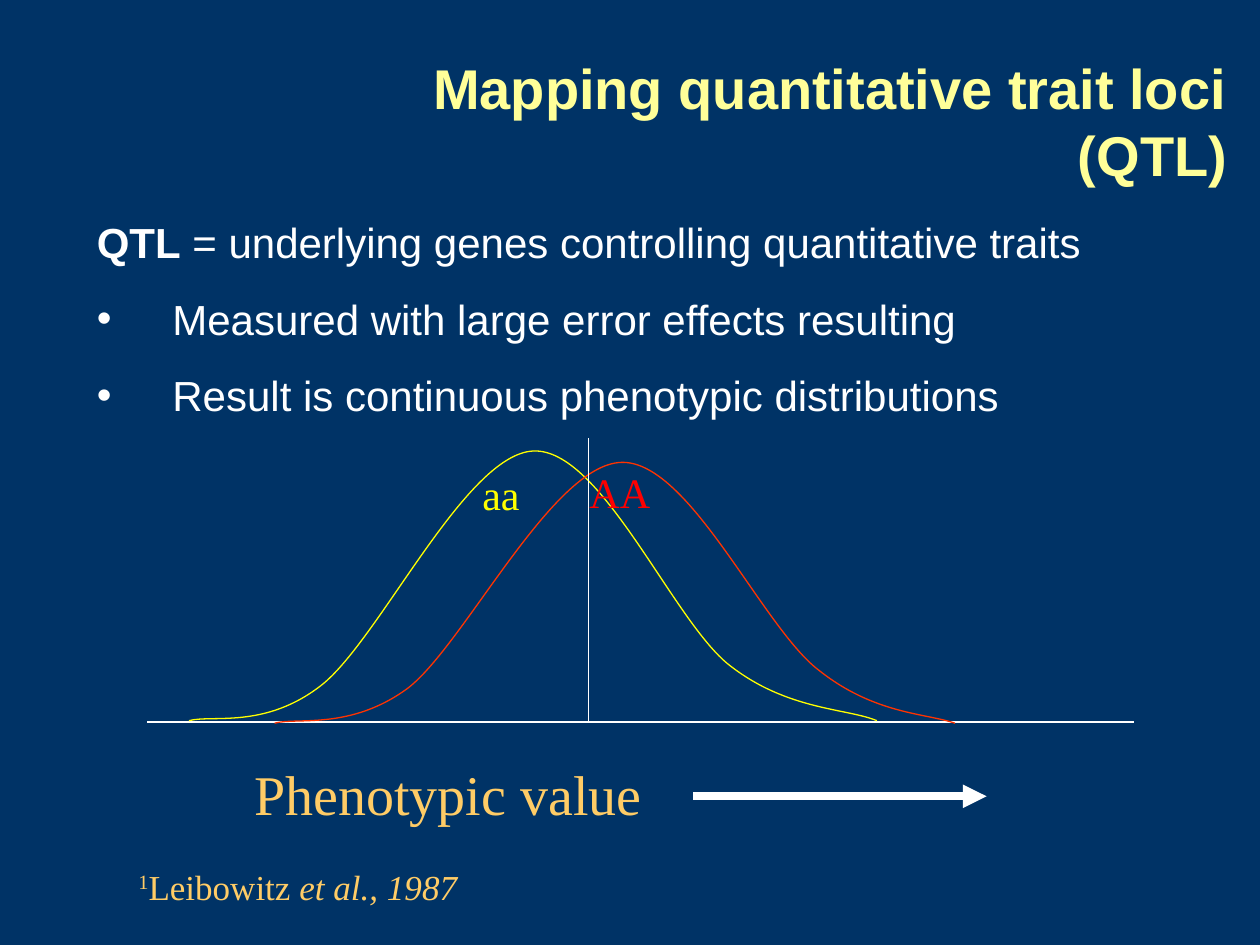
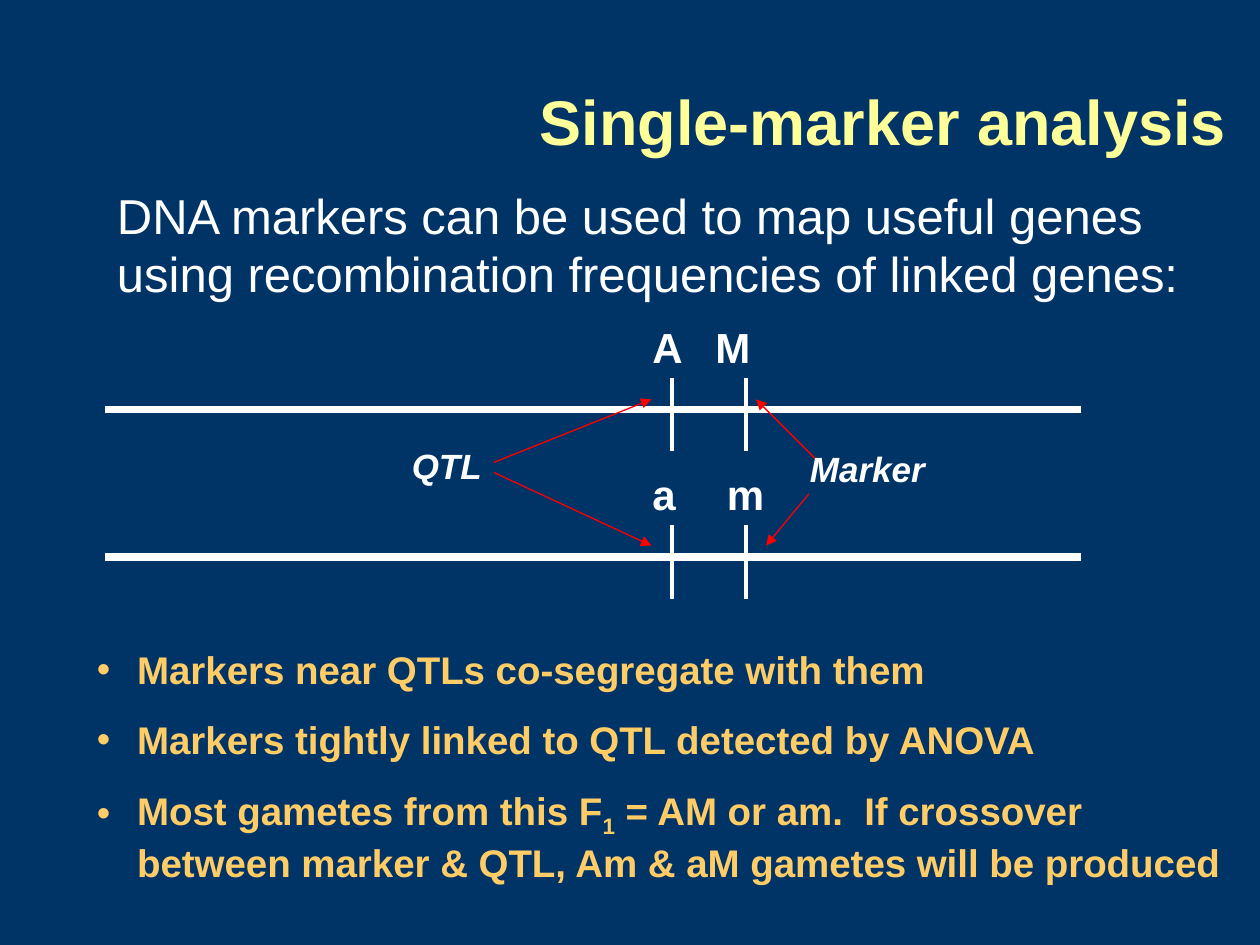
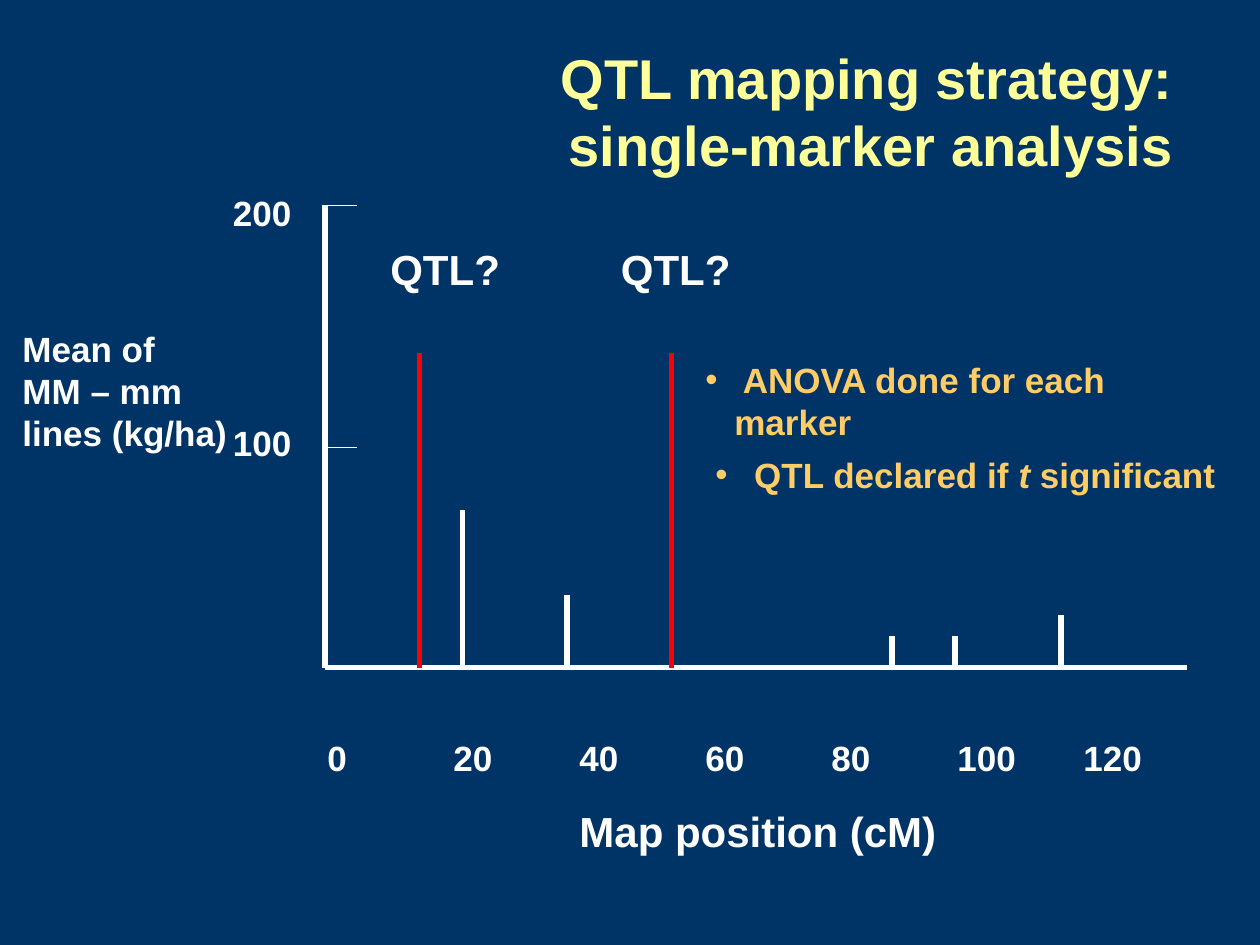
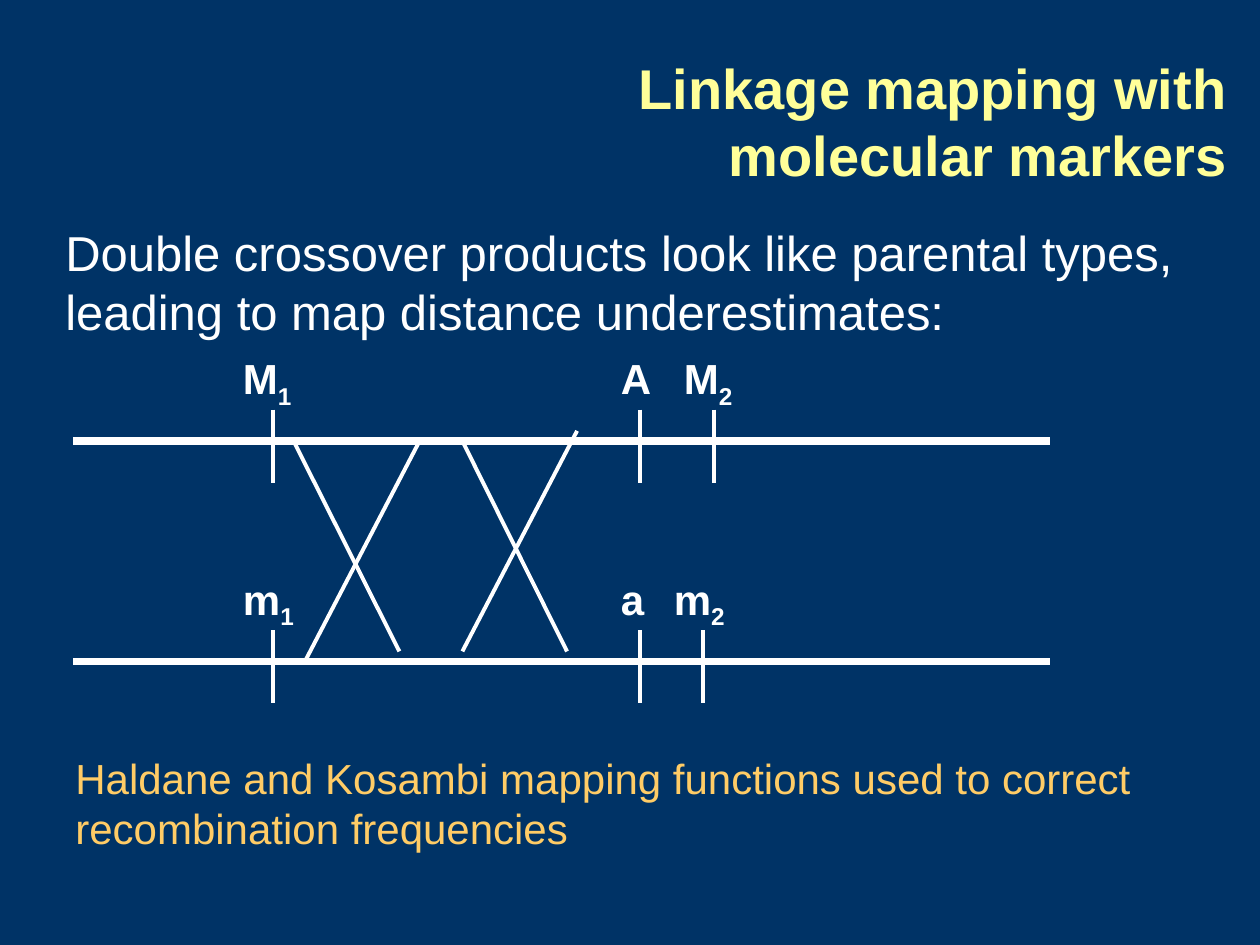
from lxml import etree
from pptx import Presentation
from pptx.dml.color import RGBColor
from pptx.enum import shapes, text
from pptx.oxml.ns import qn
from pptx.util import Inches, Pt

NAVY = RGBColor(0x00, 0x33, 0x66)
WHITE = RGBColor(0xFF, 0xFF, 0xFF)
PALE_YELLOW = RGBColor(0xFF, 0xFF, 0x99)
GOLD = RGBColor(0xFF, 0xCC, 0x66)
YELLOW = RGBColor(0xFF, 0xFF, 0x00)
RED = RGBColor(0xFF, 0x00, 0x00)
ORANGE_RED = RGBColor(0xFF, 0x33, 0x00)

SANS = "Arial"
SERIF = "Times New Roman"
SPACE_BEFORE = 0.625  # share of the text size
SUBSCRIPT = {"baseline": -25}
SUPERSCRIPT = {"baseline": 30}
THIN, MEDIUM, BAR, THICK = 0.75, 2.25, 3, 4.5


class Deck:
    """Holds the presentation, its shared style and the current slide."""

    def __init__(self):
        self.presentation = Presentation()
        self.presentation.slide_width = Inches(10)
        self.presentation.slide_height = Inches(7.5)
        fill = self.presentation.slide_master.background.fill
        fill.solid()
        fill.fore_color.rgb = NAVY
        self.slide = None

    def add_slide(self):
        self.slide = self.presentation.slides.add_slide(self.presentation.slide_layouts[6])

    def text(self, place, *paragraphs, align=text.PP_ALIGN.LEFT, middle=False, **style):
        """Add a text box; each paragraph is a string or a list of (text, changes) runs."""
        box = self.slide.shapes.add_textbox(*map(Inches, place))
        frame = box.text_frame
        frame.word_wrap = True
        if middle:
            frame.vertical_anchor = text.MSO_ANCHOR.MIDDLE
        else:
            frame.auto_size = text.MSO_AUTO_SIZE.SHAPE_TO_FIT_TEXT
        for index, runs in enumerate(paragraphs):
            paragraph = frame.paragraphs[0] if index == 0 else frame.add_paragraph()
            paragraph.alignment = align
            if not middle:
                paragraph.space_before = Pt(style["size"] * SPACE_BEFORE)
            for words, changes in [(runs, {})] if isinstance(runs, str) else runs:
                self.run(paragraph, words, **{**style, **changes})
        return frame

    def run(self, paragraph, words, size, color=WHITE, font=SANS,
            bold=False, italic=False, baseline=0):
        for index, line in enumerate(words.split("\n")):
            if index:
                paragraph.add_line_break()
            run = paragraph.add_run()
            run.text = line
            run.font.size = Pt(size)
            run.font.name = font
            run.font.bold = bold
            run.font.italic = italic
            run.font.color.rgb = color
            if baseline:
                run.font._element.set("baseline", str(baseline * 1000))

    def indent(self, paragraph, left, first=0):
        properties = paragraph._p.get_or_add_pPr()
        properties.set("marL", str(Inches(left)))
        properties.set("indent", str(Inches(first)))
        return properties

    def bullet(self, paragraph, hang, color=GOLD):
        properties = self.indent(paragraph, hang, -hang)
        bullet_color = etree.SubElement(properties, qn("a:buClr"))
        etree.SubElement(bullet_color, qn("a:srgbClr"), val=str(color))
        etree.SubElement(properties, qn("a:buFont"), typeface=SANS)
        etree.SubElement(properties, qn("a:buChar"), char="•")

    def tab_stops(self, paragraph, count):
        """Put left tab stops one inch apart."""
        stops = etree.SubElement(paragraph._p.get_or_add_pPr(), qn("a:tabLst"))
        for inch in range(1, count + 1):
            etree.SubElement(stops, qn("a:tab"), pos=str(Inches(inch)), algn="l")

    def title(self, words, left, width, top=0.33, size=32):
        self.text((left, top, width, 1.25), words, size=size, color=PALE_YELLOW, bold=True,
                  align=text.PP_ALIGN.RIGHT, middle=True)

    def line(self, start, end, width=THIN, color=WHITE, arrow=False):
        connector = self.slide.shapes.add_connector(
            shapes.MSO_CONNECTOR.STRAIGHT, *map(Inches, (*start, *end)))
        connector.line.color.rgb = color
        connector.line.width = Pt(width)
        if arrow:
            etree.SubElement(connector.line._get_or_add_ln(), qn("a:tailEnd"), type="triangle")
        etree.SubElement(connector._element.spPr, qn("a:effectLst"))

    def curve(self, points, color):
        """Draw a chain of cubic curves: a start, then two controls and an end for each."""
        start, *others = [(Inches(x), Inches(y)) for x, y in points]
        builder = self.slide.shapes.build_freeform(*start)
        builder.add_line_segments(others, close=False)
        shape = builder.convert_to_shape()
        shape.shadow.inherit = False
        shape.fill.background()
        shape.line.color.rgb = color
        shape.line.width = Pt(THIN)
        segments = list(shape._element.iter(qn("a:lnTo")))
        outline = segments[0].getparent()
        for first in range(0, len(segments), 3):
            cubic = etree.SubElement(outline, qn("a:cubicBezTo"))
            for segment in segments[first:first + 3]:
                cubic.append(segment[0])
                outline.remove(segment)

    def chromosome(self, left, y, loci):
        """Draw a strand with loci given as (tick x, label x, letter, number)."""
        self.line((left, y), (left + 7.75, y), THICK)
        for tick, label, letter, number in loci:
            self.line((tick, y - 0.25), (tick, y + 0.33), MEDIUM)
            self.text((label, y - 0.75, 0.67, 0.5), [(letter, {}), (number, SUBSCRIPT)]
                      if number else letter, size=24, bold=True)


def add_trait_slide(deck):
    deck.add_slide()
    baseline = 5.73
    deck.line((1.17, baseline), (9, baseline))
    deck.curve([(1.5, 5.72), (1.68, 5.67), (2.1, 5.79), (2.55, 5.44),
                (3.01, 5.08), (3.69, 3.61), (4.23, 3.58),
                (4.77, 3.55), (5.34, 4.93), (5.79, 5.28),
                (6.25, 5.64), (6.72, 5.62), (6.96, 5.72)], YELLOW)
    deck.text((3.73, 3.67, 0.68, 0.5), "aa", size=24, font=SERIF, color=YELLOW)
    deck.curve([(2.18, 5.74), (2.35, 5.69), (2.78, 5.8), (3.24, 5.46),
                (3.69, 5.11), (4.38, 3.69), (4.93, 3.67),
                (5.47, 3.65), (6.05, 4.98), (6.5, 5.32),
                (6.94, 5.67), (7.35, 5.66), (7.58, 5.74)], ORANGE_RED)
    deck.text((4.58, 3.65, 0.68, 0.5), "AA", size=24, font=SERIF, color=RED)
    deck.line((4.67, 3.48), (4.67, baseline))
    deck.text((1.92, 5.98, 3.33, 0.64), "Phenotypic value", size=32, font=SERIF, color=GOLD)
    deck.line((5.5, 6.32), (7.83, 6.32), THICK, arrow=True)
    deck.text((1, 6.82, 5.83, 0.44),
              [("1", SUPERSCRIPT), ("Leibowitz ", {}), ("et al., 1987", {"italic": True})],
              size=20, font=SERIF, color=GOLD)
    frame = deck.text(
        (0.67, 1.67, 9, 1.72),
        [("QTL", {"bold": True}), (" = underlying genes controlling quantitative traits", {})],
        "Measured with large error effects resulting",
        "Result is continuous phenotypic distributions", size=24)
    for paragraph in frame.paragraphs[1:]:
        deck.bullet(paragraph, 0.6, WHITE)
    deck.title("Mapping quantitative trait loci (QTL)", 2.17, 7.67)


def add_single_marker_slide(deck):
    deck.add_slide()
    deck.text((0.83, 1.42, 8.92, 1.04), "DNA markers can be used to map useful genes "
              "using recombination frequencies of linked genes:", size=28)
    frame = deck.text(
        (0.67, 5.08, 9.17, 2),
        "Markers near QTLs co-segregate with them",
        "Markers tightly linked to QTL detected by ANOVA",
        [("Most gametes from this F", {}), ("1", SUBSCRIPT),
         (" = AM or am.  If crossover between marker & QTL, "
          "Am & aM gametes will be produced", {})],
        size=22, color=GOLD, bold=True)
    for paragraph in frame.paragraphs:
        deck.bullet(paragraph, 0.32)
    deck.chromosome(0.83, 3.25, [(5.33, 5.08, "A", ""), (5.92, 5.58, "M", "")])
    deck.chromosome(0.83, 4.42, [(5.33, 5.08, "a", ""), (5.92, 5.67, "m", "")])
    for start, end in [((3.92, 3.67), (5.17, 3.17)), ((3.92, 3.75), (5.17, 4.33)),
                       ((6.5, 3.67), (6, 3.17)), ((6.42, 3.92), (6.08, 4.33))]:
        deck.line(start, end, color=RED, arrow=True)
    for place, label in [((3.17, 3.48, 0.83, 0.44), "QTL"), ((6.33, 3.5, 1.83, 0.44), "Marker")]:
        deck.text(place, label, size=20, bold=True, italic=True)
    deck.title("Single-marker analysis", 1.33, 8.5, size=36)


def add_strategy_slide(deck):
    deck.add_slide()
    axis_x, axis_y, axis_top = 2.58, 5.3, 1.63
    deck.line((axis_x, axis_y), (9.42, axis_y), BAR)
    deck.line((axis_x, axis_y), (axis_x, axis_top), BAR)
    frame = deck.text((2.5, 5.8, 6.92, 1.04), "\t".join(str(cm) for cm in range(0, 121, 20)),
                      [("Map position (cM)", {"size": 24})], size=20, bold=True)
    deck.tab_stops(frame.paragraphs[0], 6)
    deck.indent(frame.paragraphs[1], 2)
    frame.paragraphs[1].space_before = Pt(15)
    for tick_y, label_top, label in [(axis_top, 1.47, "200"), (3.55, 3.3, "100")]:
        deck.line((axis_x, tick_y), (axis_x + 0.25, tick_y))
        deck.text((1.75, label_top, 0.75, 0.44), label, size=20, bold=True)
    deck.text((0.08, 2.55, 2, 1.1), "Mean of\nMM – mm\nlines (kg/ha)", size=20, bold=True)

    for x, height in [(3.67, 1.25), (4.5, 0.58), (7.08, 0.25), (7.58, 0.25), (8.42, 0.42)]:
        deck.line((x, axis_y), (x, axis_y - height), BAR)
    for x, label_left in [(3.33, 3), (5.33, 4.83)]:
        deck.line((x, axis_y), (x, axis_y - 2.5), BAR, RED)
        deck.text((label_left, 1.88, 1.17, 0.5), "QTL?", size=24, bold=True)

    for place, words in [
        ((5.5, 2.8, 4.33, 0.44), " ANOVA done for each marker"),
        ((5.58, 3.55, 4.25, 0.44),
         [(" QTL declared if ", {}), ("t", {"italic": True}), (" significant", {})]),
    ]:
        frame = deck.text(place, words, size=20, color=GOLD, bold=True)
        deck.bullet(frame.paragraphs[0], 0.23)
    deck.title("QTL mapping strategy: single-marker analysis", 3.33, 6.08, top=0.25)


def add_linkage_slide(deck):
    deck.add_slide()
    deck.text((0.42, 1.72, 9.17, 1.04), "Double crossover products look like parental types, "
              "leading to map distance underestimates:", size=28)
    deck.chromosome(0.58, 3.5, [(2.17, 1.83, "M", "1"), (5.08, 4.83, "A", ""),
                                (5.67, 5.33, "M", "2")])
    deck.chromosome(0.58, 5.25, [(2.17, 1.83, "m", "1"), (5.08, 4.83, "a", ""),
                                 (5.58, 5.25, "m", "2")])
    for start, end in [((2.33, 3.5), (3.17, 5.17)), ((3.67, 3.5), (4.5, 5.17)),
                       ((2.42, 5.25), (3.33, 3.5)), ((3.67, 5.17), (4.58, 3.42))]:
        deck.line(start, end, MEDIUM)
    deck.text((0.5, 5.92, 8.83, 0.9), "Haldane and Kosambi mapping functions used to correct "
              "recombination frequencies", size=24, color=GOLD)
    deck.title("Linkage mapping with molecular markers", 3.67, 6.17)


def main():
    deck = Deck()
    add_trait_slide(deck)
    add_single_marker_slide(deck)
    add_strategy_slide(deck)
    add_linkage_slide(deck)
    deck.presentation.save("out.pptx")


if __name__ == "__main__":
    main()
